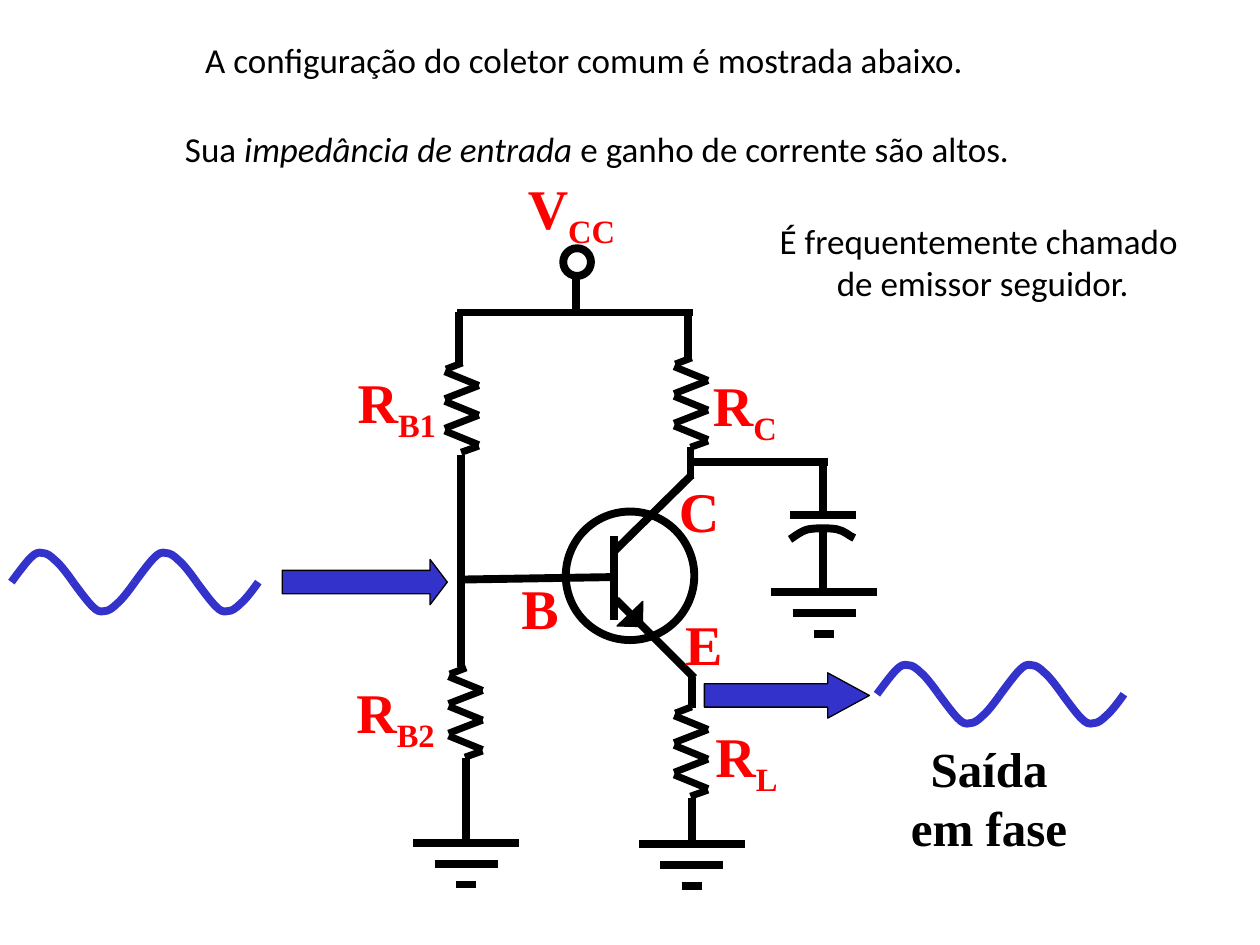
from dataclasses import dataclass

from lxml import etree
from pptx import Presentation
from pptx.dml.color import RGBColor
from pptx.enum import shapes, text
from pptx.oxml import ns
from pptx.util import Inches, Pt


@dataclass(frozen=True)
class Theme:
    ink: RGBColor = RGBColor(0, 0, 0)
    label: RGBColor = RGBColor(0xFF, 0, 0)
    signal: RGBColor = RGBColor(0x33, 0x33, 0xCC)
    body_font: str = "Calibri"
    label_font: str = "Times New Roman"
    body_size: int = 20
    output_size: int = 28
    label_size: int = 32
    wire: float = 4.5
    zigzag: float = 4
    outline: float = 0.75


T = Theme()

# Bezier points: a start, then two controls and an end for each piece
HALF_WAVE = [(0.49, 0), (0.47, 0.03), (0.39, 0.14), (0.35, 0.17),
             (0.31, 0.21), (0.28, 0.23), (0.25, 0.23),
             (0.21, 0.24), (0.19, 0.23), (0.15, 0.19),
             (0.11, 0.15), (0.03, 0.04), (0, 0)]
CURVED_PLATE = [(0, 0.19), (0.02, 0.18), (0.09, 0.12), (0.15, 0.11),
                (0.21, 0.1), (0.31, 0.1), (0.37, 0.11),
                (0.43, 0.12), (0.48, 0.17), (0.51, 0.18)]


# Drawing helpers
def add_line(s, x1, y1, x2, y2, width=T.wire):
    c = s.shapes.add_connector(shapes.MSO_CONNECTOR.STRAIGHT,
                               Inches(x1), Inches(y1), Inches(x2), Inches(y2))
    c.line.color.rgb = T.ink
    c.line.width = Pt(width)
    etree.SubElement(c._element.spPr, ns.qn("a:effectLst"))


def style(sp, fill, color, width):
    sp.shadow.inherit = False
    if fill is None:
        sp.fill.background()
    else:
        sp.fill.solid()
        sp.fill.fore_color.rgb = fill
    sp.line.color.rgb = color
    sp.line.width = Pt(width)


def add_preset(s, kind, x, y, w, h, fill=None, width=T.wire):
    sp = s.shapes.add_shape(kind, Inches(x), Inches(y), Inches(w), Inches(h))
    style(sp, fill, T.ink, width)
    return sp


def add_curve(s, x, y, points, color, sign=1):
    points = [(Inches(x + dx), Inches(y + sign * dy)) for dx, dy in points]
    builder = s.shapes.build_freeform(*points[0])
    builder.add_line_segments(points[1:], close=False)
    sp = builder.convert_to_shape()
    # Turn every three straight segments into one cubic segment
    segments = list(sp._element.iter(ns.qn("a:lnTo")))
    for i in range(0, len(segments), 3):
        first, *rest = segments[i:i + 3]
        first.tag = ns.qn("a:cubicBezTo")
        for segment in rest:
            first.append(segment[0])
            segment.getparent().remove(segment)
    style(sp, None, color, T.wire)


def add_text(s, x, y, w, h, paragraphs, font=T.body_font, size=T.body_size,
             color=T.ink, bold=False, align=text.PP_ALIGN.LEFT):
    """Each paragraph is a list of (words, kind); kind is "", "italic" or "sub"."""
    tf = s.shapes.add_textbox(Inches(x), Inches(y), Inches(w), Inches(h)).text_frame
    tf.word_wrap = False
    tf.auto_size = text.MSO_AUTO_SIZE.SHAPE_TO_FIT_TEXT
    for i, runs in enumerate(paragraphs):
        p = tf.add_paragraph() if i else tf.paragraphs[0]
        p.alignment = align
        p.font.name, p.font.size = font, Pt(size)
        p.font.bold, p.font.color.rgb = bold, color
        for words, kind in runs:
            r = p.add_run()
            r.text = words
            if kind == "italic":
                r.font.italic = True
            elif kind == "sub":
                r._r.get_or_add_rPr().set("baseline", "-25000")


def add_label(s, x, y, w, letter, sub=""):
    runs = [(letter, "")] + ([(sub, "sub")] if sub else [])
    add_text(s, x, y, w, 0.58, [runs], T.label_font, T.label_size, T.label, True)


# Circuit parts
def resistor(s, x, y):
    w, pitch = 0.27, 0.235
    for i in range(3):
        top = y + 0.07 + i * pitch
        add_line(s, x + w, top + 0.11, x, top, T.zigzag)
        if i:
            add_line(s, x, top - 0.02, x + w, top - 0.125, T.zigzag)
    add_line(s, x + 0.01, y + 0.05, x + 0.14, y, T.zigzag)
    add_line(s, x + 0.13, y + 0.71, x + w, y + 0.66, T.zigzag)


def ground(s, cx, y):
    for i, half in enumerate((0.42, 0.25, 0.08)):
        bar_y = y + i * 0.165
        add_line(s, cx - half, bar_y, cx + half, bar_y)


def capacitor(s, x, y):
    """Bypass capacitor; x, y is the left end of its upper plate."""
    w, cx = 0.52, x + 0.26
    add_line(s, x, y, x + w, y)
    add_curve(s, x, y, CURVED_PLATE, T.ink)
    add_line(s, cx, y + 0.59, cx, y + 0.13)
    add_line(s, cx, y - 0.01, cx, y - 0.45)
    ground(s, cx + 0.01, y + 0.61)


def transistor(s, x, y):
    """x, y is the top left corner of the transistor circle."""
    base = x + 0.38
    add_preset(s, shapes.MSO_SHAPE.OVAL, x, y, 1.02, 1.02)
    add_line(s, x + 0.4, y + 0.7, x + 1.02, y + 1.32)
    tip = add_preset(s, shapes.MSO_SHAPE.RIGHT_TRIANGLE, x + 0.41, y + 0.71,
                     0.2, 0.2, T.ink, T.outline)
    tip.rotation = 271.3
    add_line(s, base, y + 0.52, x - 0.85, y + 0.54)
    add_line(s, base, y + 0.32, x + 1, y - 0.29)
    add_line(s, base, y + 0.19, base, y + 0.86)
    add_label(s, x + 0.85, y + 0.73, 0.5, "E")
    add_label(s, x - 0.45, y + 0.44, 0.5, "B")
    add_label(s, x + 0.8, y - 0.33, 0.52, "C")


def supply(s, x, y):
    """x, y is the left end of the supply rail."""
    add_line(s, x, y, x + 1.87, y)
    add_preset(s, shapes.MSO_SHAPE.OVAL, x + 0.84, y - 0.51, 0.22, 0.22)
    add_line(s, x + 0.94, y - 0.27, x + 0.94, y + 0.02)
    add_label(s, x + 0.46, y - 1.15, 0.95, "V", "CC")


def bias_branch(s, x, y):
    """Divider RB1 and RB2; x, y is the top of the branch."""
    add_line(s, x, y, x, y + 0.41)
    resistor(s, x - 0.11, y + 0.4)
    add_line(s, x + 0.02, y + 1.13, x + 0.02, y + 2.81)
    resistor(s, x - 0.08, y + 2.82)
    add_line(s, x + 0.06, y + 3.54, x + 0.06, y + 4.2)
    ground(s, x + 0.06, y + 4.21)
    add_label(s, x - 0.9, y + 0.39, 0.87, "R", "B1")
    add_label(s, x - 0.91, y + 2.85, 0.87, "R", "B2")


def output_branch(s, x, y):
    """Collector and load resistors; x, y is the top of the branch."""
    add_line(s, x, y, x, y + 0.33)
    resistor(s, x - 0.11, y + 0.33)
    add_line(s, x + 0.02, y + 1.04, x + 0.02, y + 1.29)
    add_line(s, x + 0.03, y + 1.16, x + 1.11, y + 1.16)
    add_line(s, x + 0.03, y + 2.86, x + 0.03, y + 3.11)
    resistor(s, x - 0.11, y + 3.1)
    add_line(s, x + 0.03, y + 3.82, x + 0.03, y + 4.19)
    ground(s, x + 0.03, y + 4.19)
    add_label(s, x + 0.1, y + 0.38, 0.74, "R", "C")
    add_label(s, x + 0.12, y + 3.17, 0.72, "R", "L")


# Signals
def wave(s, x, y):
    """Two periods in half waves, starting upwards from x, y."""
    for n in range(4):
        add_curve(s, x + n * 0.49, y, HALF_WAVE, T.signal, 1 if n % 2 else -1)


def signal_arrow(s, x, y, head):
    sp = add_preset(s, shapes.MSO_SHAPE.RIGHT_ARROW, x, y, 1.31, 0.36,
                    T.signal, T.outline)
    sp.adjustments[0], sp.adjustments[1] = 0.515, head


# Text
def captions(s, x, y):
    center = text.PP_ALIGN.CENTER
    add_text(s, x + 0.16, y, 6.4, 0.44,
             [[("A configuração do coletor comum é mostrada abaixo.", "")]])
    add_text(s, x, y + 0.7, 6.93, 0.44,
             [[("Sua", ""), (" impedância de entrada ", "italic"),
               ("e ganho de corrente são altos.", "")]])
    add_text(s, x + 4.7, y + 1.43, 3.46, 0.77,
             [[("É frequentemente chamado ", "")], [("de emissor seguidor.", "")]],
             align=center)
    add_text(s, x + 5.76, y + 5.55, 1.44, 1.79, [[("Saída", "")], [("em fase", "")]],
             T.label_font, T.output_size, bold=True, align=center)


def main():
    prs = Presentation()
    prs.slide_width, prs.slide_height = Inches(10), Inches(7.5)
    s = prs.slides.add_slide(prs.slide_layouts[6])
    transistor(s, 4.49, 4.06)
    supply(s, 3.63, 2.48)
    bias_branch(s, 3.64, 2.48)
    output_branch(s, 5.46, 2.51)
    capacitor(s, 6.27, 4.09)
    signal_arrow(s, 2.24, 4.44, 0.38)
    signal_arrow(s, 5.59, 5.34, 0.92)
    wave(s, 0.09, 4.62)
    wave(s, 6.96, 5.51)
    captions(s, 1.37, 0.26)
    prs.save("out.pptx")


if __name__ == "__main__":
    main()
